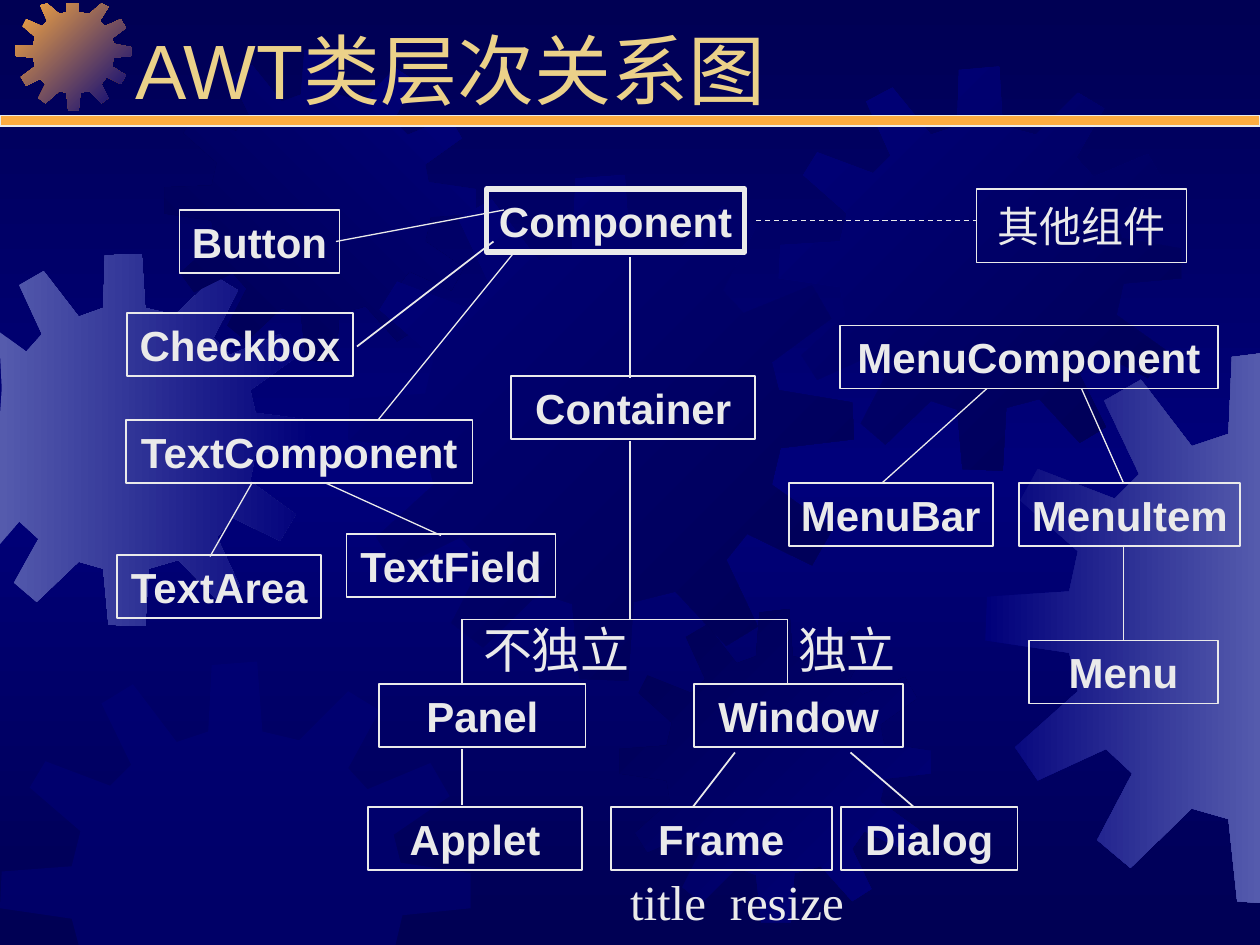
"""Build the AWT class hierarchy slide on a dark blue gear background."""
from copy import deepcopy

from lxml.etree import SubElement
from pptx import Presentation
from pptx.dml.color import RGBColor
from pptx.enum.dml import MSO_LINE
from pptx.enum.shapes import MSO_CONNECTOR, MSO_SHAPE
from pptx.enum.text import MSO_ANCHOR, PP_ALIGN
from pptx.oxml.ns import qn
from pptx.util import Pt

COLORS = {"navy": "000054", "blue": "00007A", "lilac": "555BAD",
          "orange": "FCAB40", "white": "EAEAEA", "gold": "EBD189"}
RGB = {name: RGBColor.from_string(value) for name, value in COLORS.items()}
WIDTH, HEIGHT = 720, 540


def paint_gradient(fill, start, end, angle):
    fill.gradient()
    fill.gradient_angle = angle
    for stop, color in zip(fill.gradient_stops, (start, end)):
        stop.color.rgb = RGB[color]


def style_text(frame, font_name, size, color, align, bold=False):
    frame.word_wrap = False
    frame.vertical_anchor = MSO_ANCHOR.MIDDLE
    paragraph = frame.paragraphs[0]
    paragraph.alignment = align
    for run in paragraph.runs:
        run.font.name = font_name
        run.font.size = Pt(size)
        run.font.bold = bold
        run.font.color.rgb = RGB[color]


prs = Presentation()
prs.slide_width, prs.slide_height = Pt(WIDTH), Pt(HEIGHT)
slide = prs.slides.add_slide(prs.slide_layouts[5])
shapes = slide.shapes

paint_gradient(slide.background.fill, "navy", "blue", 270)
stops = slide.background._cSld.find(".//" + qn("a:gsLst"))
stops[1].set("pos", "50000")
last_stop = deepcopy(stops[0])
last_stop.set("pos", "100000")
stops.append(last_stop)

GEAR_SPAN = 401
GEAR_OUTLINE = [
    (255, 67), (223, 59), (219, 0), (180, 3), (177, 59), (151, 68),
    (113, 20), (87, 35), (112, 88), (94, 106), (38, 85), (25, 107),
    (68, 145), (61, 174), (1, 178), (0, 210), (61, 219), (67, 246),
    (22, 287), (38, 312), (88, 288), (107, 307), (81, 355), (106, 375),
    (151, 332), (177, 340), (183, 400), (222, 401), (226, 339), (259, 330),
    (299, 374), (325, 358), (299, 306), (316, 284), (368, 309), (384, 281),
    (336, 246), (342, 216), (401, 210), (400, 180), (341, 171), (335, 148),
    (383, 114), (367, 87), (313, 109), (296, 91), (323, 41), (297, 25)]
gears = [
    (-35.3, 144.7, 213.1, "lilac", "blue", 0),
    (8.6, -2.9, 66.2, "orange", "blue", 315),
    (93.6, 28.1, 178.6, "navy", "blue", 45),
    (199.4, 100.1, 288.7, "blue", "navy", 315),
    (0, 378, 269.3, "blue", None, 0),
    (353.5, 348.5, 178.6, "navy", "blue", 315),
    (445, 38.2, 230.4, "blue", "navy", 315),
    (563, 201.6, 314.6, "blue", "lilac", 0)]
for left, top, size, start, end, angle in gears:
    outline = [(min(max(left + x * size / GEAR_SPAN, 0), WIDTH),
                min(max(top + y * size / GEAR_SPAN, 1.5), HEIGHT))
               for x, y in GEAR_OUTLINE]
    builder = shapes.build_freeform(*outline[0], scale=Pt(1))
    builder.add_line_segments(outline[1:], close=True)
    gear = builder.convert_to_shape()
    gear.shadow.inherit = False
    gear.line.fill.background()
    if end:
        paint_gradient(gear.fill, start, end, angle)
    else:
        gear.fill.solid()
        gear.fill.fore_color.rgb = RGB[start]
        tint = gear._element.spPr.find(qn("a:solidFill"))[0]
        SubElement(tint, qn("a:alpha")).set("val", "50000")

title = shapes.title
title.left, title.top, title.width, title.height = Pt(70), Pt(12), Pt(638.5), Pt(54)
title.text_frame.text = "AWT类层次关系图"
style_text(title.text_frame, "Arial", 44, "gold", PP_ALIGN.LEFT)
shapes._spTree.append(title._element)

classes = [
    ("Component", 278, 108, 147.6, 3),
    ("Container", 292, 214.8, 139.7, 1),
    ("Panel", 216.6, 391, 118.1, 1),
    ("Window", 396.6, 391, 119.5, 1),
    ("Applet", 210.3, 461, 122.4, 1),
    ("Frame", 349, 461, 126.3, 1),
    ("Dialog", 480.5, 461, 101, 1),
    ("Button", 102.5, 120, 91.6, 1),
    ("Checkbox", 72.6, 179, 129, 1),
    ("TextComponent", 72, 240, 198, 1),
    ("TextArea", 67, 317, 116.6, 1),
    ("TextField", 198, 305.3, 119.5, 1),
    ("MenuComponent", 480, 186, 216, 1),
    ("MenuBar", 450.7, 276, 116.6, 1),
    ("MenuItem", 582.5, 276, 126.3, 1),
    ("Menu", 588, 366, 108, 1),
    ("其他组件", 558, 108, 120, 0.75)]
for name, left, top, width, border in classes:
    others = name == "其他组件"
    box = shapes.add_shape(MSO_SHAPE.RECTANGLE, Pt(left), Pt(top), Pt(width),
                           Pt(42 if others else 36))
    box.shadow.inherit = False
    box.fill.background()
    box.line.color.rgb = RGB["white"]
    box.line.width = Pt(border)
    box.text_frame.text = name
    style_text(box.text_frame, "Times New Roman" if others else "Arial", 24,
               "white", PP_ALIGN.CENTER, bold=not others)

links = [
    (360, 147, 360, 216, 1),
    (282, 138, 204, 198, 1),
    (360, 252, 360, 354, 1),
    (264, 428, 264, 460, 1),
    (264, 354, 450, 354, 1),
    (264, 354, 264, 391, 1),
    (450, 354, 450, 391, 1),
    (420, 430, 396, 461, 1),
    (486, 430, 522, 461, 1),
    (294, 144, 216, 240, 0.75),
    (144, 276, 120, 318, 0.75),
    (186, 276, 252, 306, 0.75),
    (564, 222, 504, 276, 0.75),
    (618, 222, 642, 276, 0.75),
    (642, 312, 642, 366, 0.75),
    (288, 120, 192, 138, 0.75),
    (432, 126, 558, 126, 0.75)]
for *ends, weight in links:
    link = shapes.add_connector(MSO_CONNECTOR.STRAIGHT, *map(Pt, ends))
    link.line.color.rgb = RGB["white"]
    link.line.width = Pt(weight)
    SubElement(link._element.spPr, qn("a:effectLst"))
link.line.dash_style = MSO_LINE.DASH

labels = [("title\tresize", 360, 498, 156), ("独立", 456, 354, 60),
          ("不独立", 276, 354, 84)]
for words, left, top, width in labels:
    label = shapes.add_textbox(Pt(left), Pt(top), Pt(width), Pt(34))
    frame = label.text_frame
    frame.margin_left = frame.margin_right = frame.margin_top = frame.margin_bottom = 0
    frame.text = words
    if "\t" in words:
        tabs = SubElement(frame.paragraphs[0]._p.get_or_add_pPr(), qn("a:tabLst"))
        tab = SubElement(tabs, qn("a:tab"))
        tab.set("pos", str(Pt(57)))
        tab.set("algn", "l")
    style_text(frame, "Times New Roman", 28, "white", PP_ALIGN.LEFT)

title_rule = shapes.add_shape(MSO_SHAPE.RECTANGLE, 0, Pt(66), Pt(WIDTH), Pt(6))
title_rule.shadow.inherit = False
title_rule.fill.solid()
title_rule.fill.fore_color.rgb = RGB["orange"]
title_rule.line.color.rgb = RGB["white"]
title_rule.line.width = Pt(0.75)

prs.save("out.pptx")
